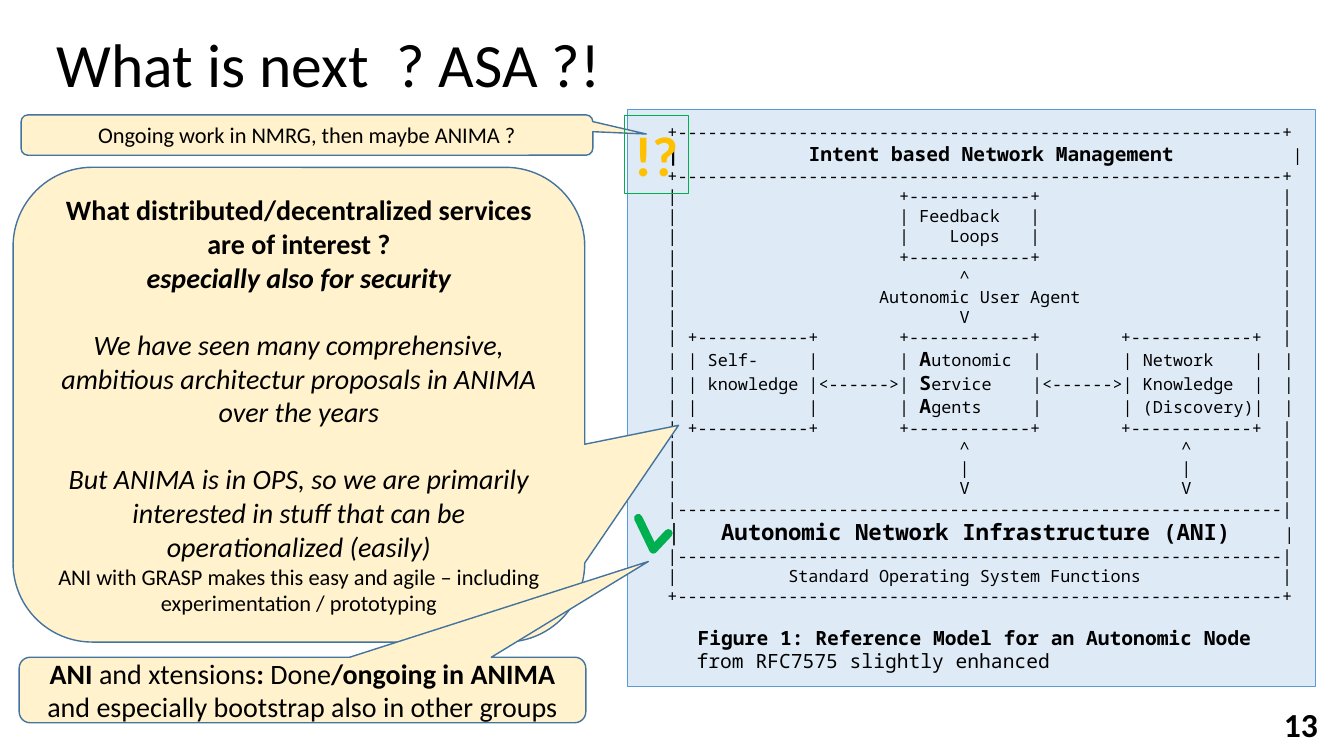
from lxml import etree
from pptx import Presentation
from pptx.dml.color import RGBColor
from pptx.enum.shapes import MSO_CONNECTOR, MSO_SHAPE
from pptx.enum.text import MSO_ANCHOR, MSO_AUTO_SIZE, PP_ALIGN
from pptx.oxml.ns import qn
from pptx.util import Emu, Pt

LEFT, CENTER, RIGHT = PP_ALIGN.LEFT, PP_ALIGN.CENTER, PP_ALIGN.RIGHT
TOP, MIDDLE = MSO_ANCHOR.TOP, MSO_ANCHOR.MIDDLE
NO_FIT = MSO_AUTO_SIZE.NONE
RECTANGLE = MSO_SHAPE.RECTANGLE
CALLOUT = MSO_SHAPE.ROUNDED_RECTANGULAR_CALLOUT
STRAIGHT = MSO_CONNECTOR.STRAIGHT
TITLE_ONLY = 5
SANS, MONO = "Calibri", "Noto Sans Mono"
BLACK, GREEN, AMBER = "000000", "00B050", "FFC000"
CREAM, NAVY = "FFF2CC", "43739E"
PALE_BLUE, BLUE = "DEEBF7", "5B9BD5"

DIAGRAM_TOP = [
    "+------------------------------------------------------------+",
    [("|           Intent based Network Management          ", 14, "b"), ("|", 12, "")],
]
DIAGRAM_ROWS = """\
+------------------------------------------------------------+
|                      +------------+                        |
|                      | Feedback   |                        |
|                      |    Loops   |                        |
|                      +------------+                        |
|                            ^                               |
|                    Autonomic User Agent                    |
|                            V                               |
| +-----------+        +------------+        +------------+  |""".split("\n")
AGENT_ROWS = [
    ("| | Self-     |        | ", "A", "utonomic  |        | Network    |  |"),
    ("| | knowledge |<------>| ", "S", "ervice    |<------>| Knowledge  |  |"),
    ("| |           |        | ", "A", "gents     |        | (Discovery)|  |"),
]
LOWER_ROWS = """\
| +-----------+        +------------+        +------------+  |
|                            ^                     ^         |
|                            |                     |         |
|                            V                     V         |
|------------------------------------------------------------|""".split("\n")
INFRASTRUCTURE = [("|   ", 16, ""),
                  ("Autonomic Network Infrastructure (ANI)    ", 16, "b"), ("|", 12, "")]
LAST_ROWS = """\
|------------------------------------------------------------|
|           Standard Operating System Functions              |
+------------------------------------------------------------+""".split("\n")


def px(length):
    return Emu(length * 9144)


def color(code):
    return RGBColor.from_string(code)


def add_para(frame, runs, align=LEFT, font=SANS, ink=BLACK, before=0, indent=0):
    para = frame.paragraphs[0]
    if para.runs:
        para = frame.add_paragraph()
    para.alignment = align
    if before:
        para.space_before = Pt(before)
    if indent:
        para._p.get_or_add_pPr().set("marL", str(px(indent)))
    for text, size, style in runs:
        for number, line in enumerate(text.split("\n")):
            if number:
                para.add_line_break()
            span = para.add_run()
            span.text = line
            span.font.name = font
            span.font.size = Pt(size)
            span.font.bold = "b" in style
            span.font.italic = "i" in style
            span.font.color.rgb = color(ink)
    return para


def set_frame(shape, anchor, wrap=True):
    frame = shape.text_frame
    frame.auto_size = NO_FIT
    frame.word_wrap = wrap
    frame.vertical_anchor = anchor
    return frame


def add_box(page, kind, box, fill, line, width):
    shape = page.shapes.add_shape(kind, *map(px, box))
    shape.shadow.inherit = False
    if fill:
        shape.fill.solid()
        shape.fill.fore_color.rgb = color(fill)
    else:
        shape.fill.background()
    shape.line.color.rgb = color(line)
    shape.line.width = Pt(width)
    return shape


def add_title(page, box, text):
    title = page.shapes.title
    title.left, title.top, title.width, title.height = map(px, box)
    add_para(set_frame(title, MIDDLE), [(text, 44, "")]).line_spacing = 0.9


def add_page_number(page, box, number):
    shape = page.shapes.add_textbox(*map(px, box))
    add_para(set_frame(shape, MIDDLE), [(number, 24, "b")], RIGHT)


def add_diagram(page, box):
    frame = set_frame(add_box(page, RECTANGLE, box, PALE_BLUE, BLUE, 0.75), TOP)
    frame.margin_left, frame.margin_top, frame.margin_right = px(40), px(12), 0
    agents = [[(start, 12, ""), (initial, 14, "b"), (rest, 12, "")]
              for start, initial, rest in AGENT_ROWS]
    rows = DIAGRAM_TOP + DIAGRAM_ROWS + agents + LOWER_ROWS + [INFRASTRUCTURE] + LAST_ROWS
    for row in rows:
        add_para(frame, [(row, 12, "")] if isinstance(row, str) else row, font=MONO)
    add_para(frame, [("Figure 1: Reference Model for an Autonomic Node", 14, "b")],
             font=MONO, before=14, indent=30)
    add_para(frame, [("from RFC7575 slightly enhanced", 14, "")], font=MONO, indent=29)


def add_check_mark(page, box):
    left, top, width, height = box
    corner = left + width // 2, top + height
    for start in ((left, top), (left + width, top + height // 2)):
        stroke = page.shapes.add_connector(STRAIGHT, *map(px, start + corner))
        stroke.line.color.rgb = color(GREEN)
        stroke.line.width = Pt(6)
        stroke.line._get_or_add_ln().set("cap", "rnd")
        etree.SubElement(stroke._element.spPr, qn("a:effectLst"))


def add_open_mark(page, box):
    shape = add_box(page, RECTANGLE, box, None, GREEN, 0.75)
    add_para(set_frame(shape, TOP, False), [("!?", 40, "b")], ink=AMBER)


def add_callout(page, box, tip, paras):
    left, top, width, height = box
    shape = add_box(page, CALLOUT, box, CREAM, NAVY, 1)
    shape.adjustments[0] = (tip[0] - left) / width - 0.5
    shape.adjustments[1] = (tip[1] - top) / height - 0.5
    frame = set_frame(shape, MIDDLE)
    for runs, before in paras:
        add_para(frame, runs, CENTER, before=before)


def build_slide(deck):
    page = deck.slides.add_slide(deck.slide_layouts[TITLE_ONLY])
    add_title(page, (46, 26, 1150, 82), "What is next  ? ASA ?!")
    add_page_number(page, (1251, 698, 66, 40), "13")
    add_diagram(page, (622, 109, 683, 572))
    add_check_mark(page, (633, 514, 30, 31))
    add_callout(page, (21, 114, 567, 40), (641, 133),
                [([("Ongoing work in NMRG, then maybe ANIMA ?", 16, "")], 0)])
    add_open_mark(page, (619, 115, 64, 77))
    add_callout(page, (13, 166, 567, 471), (673, 422), [
        ([("What distributed/decentralized services\nare of interest ?", 20, "b")], 0),
        ([("especially also for security", 20, "bi")], 0),
        ([("We have seen many comprehensive,", 20, "i")], 24),
        ([("ambitious architectur proposals in ANIMA over the years", 20, "i")], 0),
        ([("But ANIMA is in OPS, so we are primarily interested in stuff "
           "that can be operationalized (easily)", 20, "i")], 24),
        ([("ANI with GRASP makes this easy and agile – including "
           "experimentation / prototyping", 16, "")], 0),
    ])
    add_callout(page, (19, 652, 562, 65), (643, 557), [
        ([("ANI ", 20, "b"), ("and xtensions", 20, ""), (": ", 20, "b"),
          ("Done", 20, ""), ("/ongoing in ANIMA", 20, "b")], 0),
        ([("and especially bootstrap also in other groups", 20, "")], 0),
    ])


def main():
    deck = Presentation()
    deck.slide_width, deck.slide_height = px(1333), px(750)
    build_slide(deck)
    deck.save("out.pptx")


if __name__ == "__main__":
    main()
